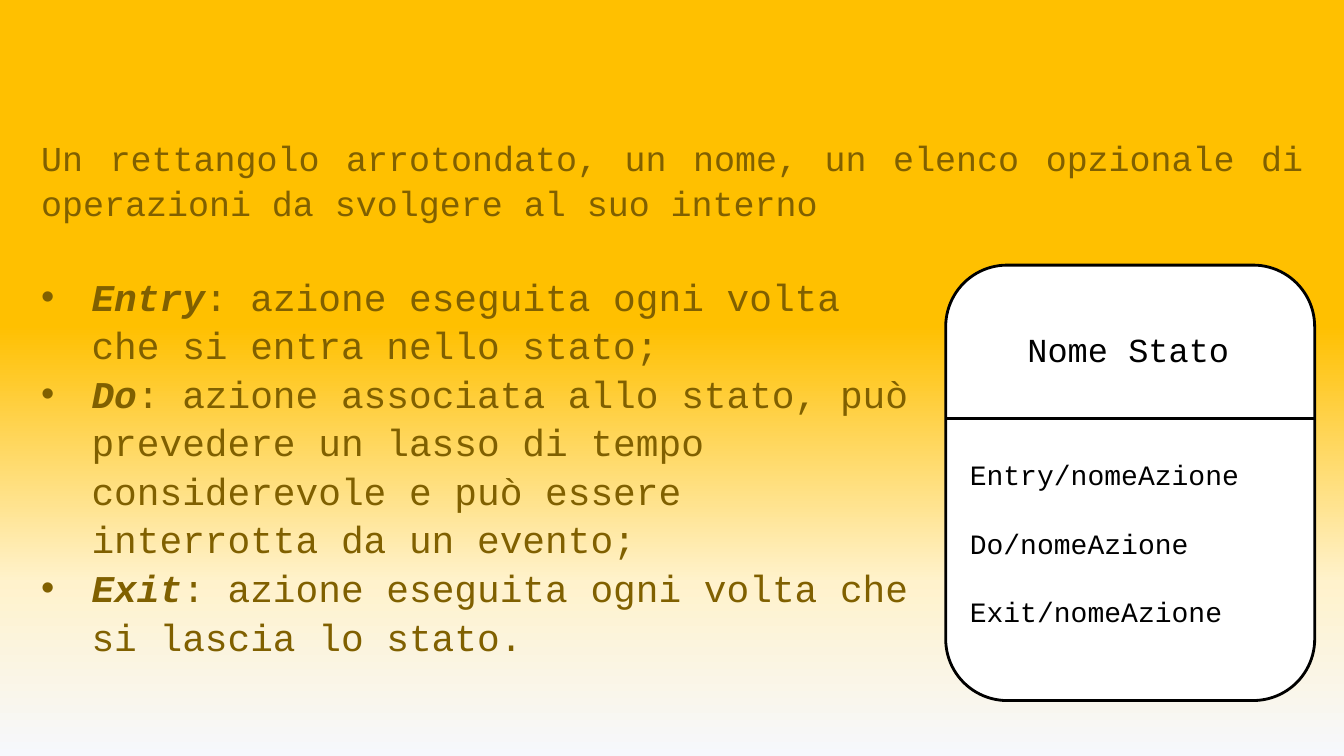
from lxml import etree
from pptx import Presentation
from pptx.dml.color import RGBColor
from pptx.enum.shapes import MSO_CONNECTOR as Connector, MSO_SHAPE as Shape
from pptx.enum.text import MSO_ANCHOR as Anchor, MSO_AUTO_SIZE as AutoSize, PP_ALIGN as Align
from pptx.oxml.ns import qn
from pptx.util import Inches, Pt

# Content: a paragraph is a list of (text, emphasised) runs
INTRO = [[("Un rettangolo arrotondato, un nome, un elenco opzionale di "
           "operazioni da svolgere al suo interno", False)]]
ACTIONS = [
    [("Entry", True), (": azione eseguita ogni volta che si entra nello stato;", False)],
    [("Do", True), (": azione associata allo stato, può prevedere un lasso di tempo "
                    "considerevole e può essere interrotta da un evento;", False)],
    [("Exit", True), (": azione eseguita ogni volta che si lascia lo stato.", False)],
]
STATE_NAME = [[("Nome Stato", False)]]
STATE_ACTIONS = [[(f"{name}/nomeAzione", False)] for name in ("Entry", "Do", "Exit")]

FONT, BROWN, BLACK, WHITE = "Courier New", "806000", "000000", "FFFFFF"
BACKGROUND = [(0, "F6F8FC"), (23, "FFF2CC"), (57, "FFC000"), (100, "FFC000")]

# Layout in inches
WIDTH, HEIGHT = 13.33, 7.5
MARGIN, BODY_TOP = 0.31, 2.63
STATE_LEFT, STATE_WIDTH, STATE_HEIGHT = 9.38, 3.66, 4.32
DIVIDER_TOP = 4.15
INSET = 0.14


def color(value):
    return RGBColor.from_string(value)


def add_text(slide, area, paragraphs, size, tint, align=Align.LEFT,
             line_spacing=1.0, gap=0, bullet=False):
    box = slide.shapes.add_textbox(*map(Inches, area))
    frame = box.text_frame
    frame.word_wrap = True
    frame.auto_size = AutoSize.SHAPE_TO_FIT_TEXT
    for index, runs in enumerate(paragraphs):
        para = frame.add_paragraph() if index else frame.paragraphs[0]
        para.alignment = align
        para.line_spacing = line_spacing
        para.space_before = Pt(gap if index else 0)
        if bullet:
            add_bullet(para)
        for text, emphasised in runs:
            span = para.add_run()
            span.text = text
            font = span.font
            font.name, font.size = FONT, Pt(size)
            font.bold = font.italic = emphasised
            font.color.rgb = color(tint)
    return frame


def add_bullet(para):
    props = para._p.get_or_add_pPr()
    props.set("marL", str(Inches(0.5)))
    props.set("indent", str(-Inches(0.5)))
    etree.SubElement(props, qn("a:buFont")).set("typeface", "Arial")
    etree.SubElement(props, qn("a:buChar")).set("char", "•")


def paint_background(slide):
    fill = slide.background.fill
    fill.gradient()
    fill.gradient_angle = 90
    stops = slide.element.find(".//" + qn("a:gsLst"))
    for stop in list(stops):
        stops.remove(stop)
    for percent, tint in BACKGROUND:
        stop = etree.SubElement(stops, qn("a:gs"), pos=str(percent * 1000))
        etree.SubElement(stop, qn("a:srgbClr"), val=tint)


def add_state(slide):
    # Rounded state box
    state = slide.shapes.add_shape(Shape.ROUNDED_RECTANGLE, *map(
        Inches, (STATE_LEFT, BODY_TOP, STATE_WIDTH, STATE_HEIGHT)))
    state.shadow.inherit = False
    state.fill.solid()
    state.fill.fore_color.rgb = color(WHITE)

    # Divider between name and actions
    divider = slide.shapes.add_connector(Connector.STRAIGHT, *map(
        Inches, (STATE_LEFT, DIVIDER_TOP, STATE_LEFT + STATE_WIDTH, DIVIDER_TOP)))
    etree.SubElement(divider._element.spPr, qn("a:effectLst"))
    for outlined in (state, divider):
        outlined.line.color.rgb = color(BLACK)
        outlined.line.width = Pt(2)

    # Name and actions
    left = STATE_LEFT + INSET
    name = add_text(slide, (left, 3.21, 3.34, 0.5), STATE_NAME, 24, BLACK, Align.CENTER)
    name.vertical_anchor = Anchor.MIDDLE
    add_text(slide, (left, 4.49, 3.11, 2.12), STATE_ACTIONS, 20, BLACK, gap=25)


def main():
    deck = Presentation()
    deck.slide_width, deck.slide_height = Inches(WIDTH), Inches(HEIGHT)
    slide = deck.slides.add_slide(deck.slide_layouts[6])
    paint_background(slide)
    add_state(slide)

    # Explanation
    add_text(slide, (MARGIN, 1.28, WIDTH - 2 * MARGIN, 0.94), INTRO, 25, BROWN,
             Align.JUSTIFY, line_spacing=1.07)
    add_text(slide, (MARGIN, BODY_TOP, 8.83, 4.19), ACTIONS, 27, BROWN,
             line_spacing=1.07, bullet=True)
    deck.save("out.pptx")


if __name__ == "__main__":
    main()
